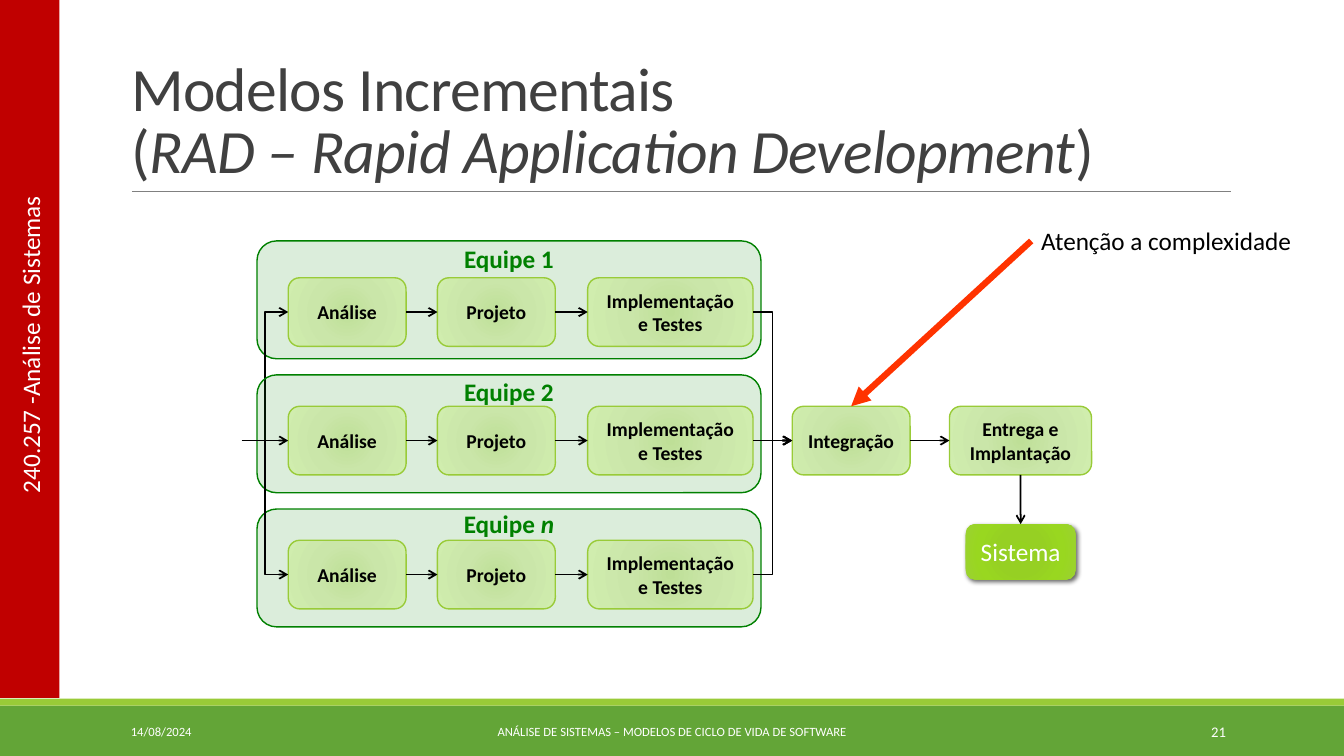
from pptx import Presentation
from pptx.dml.color import RGBColor
from pptx.enum.shapes import MSO_CONNECTOR as Link, MSO_SHAPE as Form
from pptx.enum.text import MSO_ANCHOR as Anchor, MSO_AUTO_SIZE as AutoSize, PP_ALIGN as Align
from pptx.oxml import parse_xml
from pptx.oxml.ns import nsdecls, qn
from pptx.util import Pt

FONT = "Calibri"
COLORS = {
    "ink": "000000", "title": "404040", "white": "FFFFFF", "rule": "808080",
    "red": "C00000", "alert": "FF3300", "footer": "63A537", "lime": "99CB38",
    "team": "008000",
}
STEP_GRADIENT = [(0, "BEDF97"), (45, "CAE6A9"), (100, "D0EDAE")]
SYSTEM_GRADIENT = [(0, "95D220"), (34, "96D023"), (70, "99D720"), (100, "9BD231")]

# Connection sites of a rounded rectangle
TOP, LEFT, BOTTOM, RIGHT = range(4)

STEP_HEIGHT = 49
PANEL_LEFT, PANEL_WIDTH, PANEL_HEIGHT = 183.6, 360, 84.2
# Panel top, label top, step top, label runs as (text, italic)
TEAMS = [
    (172.1, 170.6, 198.4, [("Equipe 1", False)]),
    (267.8, 265, 290.2, [("Equipe 2", False)]),
    (363.6, 359.3, 385.9, [("Equipe ", False), ("n", True)]),
]
# Name, left, width
STEPS = [("Análise", 205.9, 84.2), ("Projeto", 312.5, 84.2),
         ("Implementação e Testes", 419.8, 118.1)]


def color(name):
    return RGBColor.from_string(COLORS[name])


def set_font(font, size, tint, bold=False):
    font.name, font.size, font.bold = FONT, Pt(size), bold
    font.color.rgb = color(tint)


def add_block(page, form, left, top, width, height, fill=None, line=None):
    box = page.shapes.add_shape(form, Pt(left), Pt(top), Pt(width), Pt(height))
    box.shadow.inherit = False
    if fill:
        box.fill.solid()
        box.fill.fore_color.rgb = color(fill)
    if line:
        box.line.color.rgb = color(line)
        box.line.width = Pt(1)
    else:
        box.line.fill.background()
    return box


def add_panel(page, top):
    panel = add_block(page, Form.ROUNDED_RECTANGLE, PANEL_LEFT, top,
                      PANEL_WIDTH, PANEL_HEIGHT, "team", "team")
    tint = panel.fill._xPr.find(qn("a:solidFill"))[0]
    tint.append(parse_xml(f'<a:alpha {nsdecls("a")} val="14000"/>'))


def set_gradient(box, stops):
    stop_xml = "".join(f'<a:gs pos="{place * 1000}"><a:srgbClr val="{tint}"/></a:gs>'
                       for place, tint in stops)
    gradient = parse_xml(
        f'<a:gradFill {nsdecls("a")} rotWithShape="1"><a:gsLst>{stop_xml}</a:gsLst>'
        '<a:path path="circle"><a:fillToRect l="100000" t="100000" r="100000" '
        'b="100000"/></a:path></a:gradFill>')
    box._element.spPr.find(qn("a:prstGeom")).addnext(gradient)


def add_step(page, text, left, top, width, height=STEP_HEIGHT, stops=STEP_GRADIENT,
             line="lime", size=14, tint="ink", bold=True):
    box = add_block(page, Form.ROUNDED_RECTANGLE, left, top, width, height, line=line)
    set_gradient(box, stops)
    frame = box.text_frame
    frame.word_wrap = True
    frame.vertical_anchor = Anchor.MIDDLE
    para = frame.paragraphs[0]
    para.text, para.alignment = text, Align.CENTER
    set_font(para.font, size, tint, bold)
    return box


def add_shadow(box):
    box._element.spPr.find(qn("a:effectLst")).append(parse_xml(
        f'<a:outerShdw {nsdecls("a")} blurRad="{Pt(3.5)}" dist="{Pt(2)}" dir="2700000" '
        'algn="tl" rotWithShape="0"><a:srgbClr val="000000"><a:alpha val="60000"/>'
        '</a:srgbClr></a:outerShdw>'))


def add_text(page, spans, left, top, width, height, size, tint, align=Align.LEFT,
             anchor=Anchor.TOP, wrap=True, bold=False):
    box = page.shapes.add_textbox(Pt(left), Pt(top), Pt(width), Pt(height))
    frame = box.text_frame
    frame.word_wrap, frame.vertical_anchor = wrap, anchor
    para = frame.paragraphs[0]
    para.alignment = align
    set_font(para.font, size, tint, bold)
    for text, italic in spans:
        span = para.add_run()
        span.text = text
        if italic:
            span.font.italic = True
    return box


def add_line(page, start, end, kind=Link.STRAIGHT, tint="ink", width=1.25, head="arrow"):
    """Join two ends, each a point (x, y) or a pair (shape, connection site)."""
    points = [(0, 0) if hasattr(spot[0], "shape_id") else spot for spot in (start, end)]
    line = page.shapes.add_connector(kind, *(Pt(value) for point in points for value in point))
    for spot, attach in ((start, line.begin_connect), (end, line.end_connect)):
        if hasattr(spot[0], "shape_id"):
            attach(*spot)
    line.line.color.rgb = color(tint)
    line.line.width = Pt(width)
    if head:
        line.line._get_or_add_ln().append(
            parse_xml(f'<a:tailEnd {nsdecls("a")} type="{head}"/>'))
    line._element.spPr.append(parse_xml(f'<a:effectLst {nsdecls("a")}/>'))


def set_title(page):
    title = page.shapes.title
    title.left, title.top, title.width, title.height = Pt(86.4), Pt(22.3), Pt(792), Pt(114.5)
    frame = title.text_frame
    frame.auto_size, frame.word_wrap = AutoSize.NONE, True
    frame.vertical_anchor = Anchor.BOTTOM
    para = frame.paragraphs[0]
    para.alignment, para.line_spacing = Align.LEFT, 0.85
    set_font(para.font, 44, "title")
    for text, italic in (("Modelos Incrementais ", False), ("(", False),
                         ("RAD – Rapid Application Development", True), (")", False)):
        if text == "(":
            para.add_line_break()
        span = para.add_run()
        span.text = text
        span.font.italic = italic
        span._r.get_or_add_rPr().set("spc", "-50")


def add_frame(page):
    add_block(page, Form.RECTANGLE, 0, 504, 960, 36, "footer")
    add_block(page, Form.RECTANGLE, 0, 499, 960, 5, "lime")
    add_line(page, (94.3, 136.8), (879.1, 136.8), tint="rule", width=0.5, head=None)
    add_block(page, Form.RECTANGLE, 0, 0, 42.5, 498.5, "red")
    for text, left, width, size, align in (
            ("14/08/2024", 86.4, 194.4, 9, Align.LEFT),
            ("21", 779.8, 103, 10.5, Align.RIGHT),
            ("ANÁLISE DE SISTEMAS – MODELOS DE CICLO DE VIDA DE SOFTWARE",
             290.2, 379.4, 9, Align.CENTER)):
        add_text(page, [(text, False)], left, 508.3, width, 28.8, size, "white",
                 align, Anchor.MIDDLE)
    course = add_text(page, [("240.257 -Análise de Sistemas", False)],
                      -92.9, 230.4, 229, 29, 18, "white", wrap=False)
    course.rotation = 270


def add_flow(page):
    # Closing steps
    integration = add_step(page, "Integração", 565.9, 290.2, 84.2)
    delivery = add_step(page, "Entrega e Implantação", 678.2, 290.2, 101.5)
    system = add_step(page, "Sistema", 689.8, 374.4, 78.5, 39.6, SYSTEM_GRADIENT,
                      None, 18, "white", False)
    add_shadow(system)

    # Parallel teams
    for panel_top, label_top, step_top, label in TEAMS:
        add_panel(page, panel_top)
        boxes = [add_step(page, name, left, step_top, width) for name, left, width in STEPS]
        for before, after in zip(boxes, boxes[1:]):
            add_line(page, (before, RIGHT), (after, LEFT))
        add_line(page, (172.8, 314.7), (boxes[0], LEFT), Link.ELBOW)
        add_line(page, (boxes[-1], RIGHT), (integration, LEFT), Link.ELBOW)
        add_text(page, label, PANEL_LEFT, label_top, PANEL_WIDTH, 29, 18, "team",
                 Align.CENTER, bold=True)

    add_line(page, (integration, RIGHT), (delivery, LEFT))
    add_line(page, (delivery, BOTTOM), (system, TOP))

    # Warning
    add_line(page, (736.6, 172.1), (integration, TOP), tint="alert", width=4.5, head="triangle")
    add_text(page, [("Atenção a complexidade", False)], 736.6, 157.7, 195, 29, 18, "ink",
             wrap=False)


def main():
    deck = Presentation()
    deck.slide_width, deck.slide_height = Pt(960), Pt(540)
    page = deck.slides.add_slide(deck.slide_layouts[5])
    set_title(page)
    add_frame(page)
    add_flow(page)
    deck.save("out.pptx")


if __name__ == "__main__":
    main()
